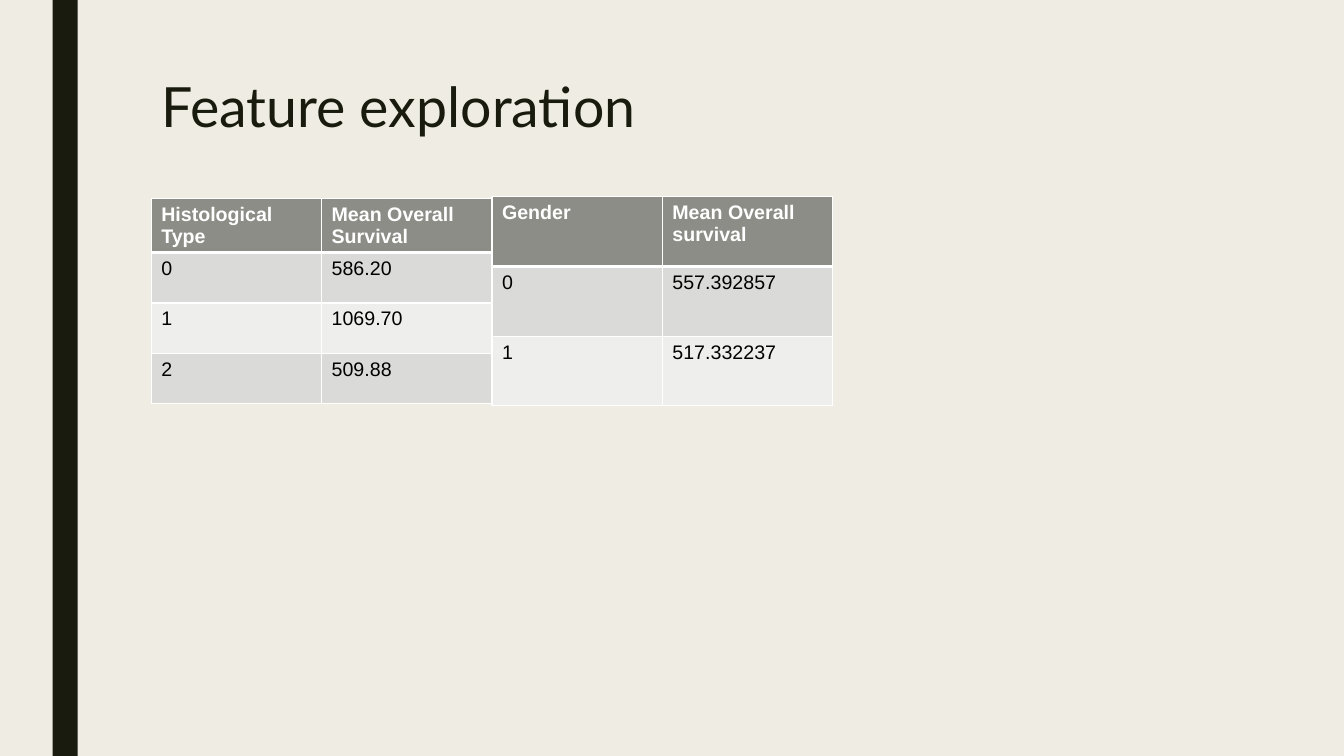
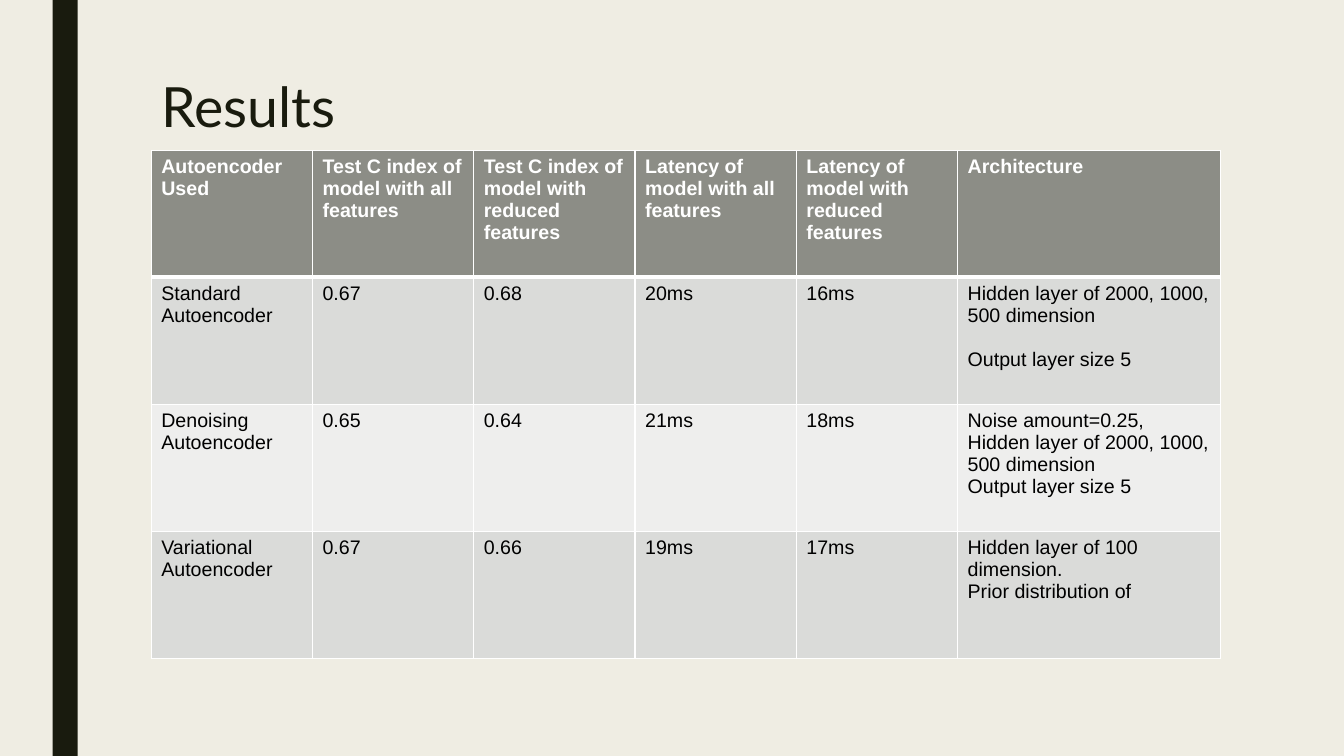
from dataclasses import dataclass

from lxml import etree
from pptx import Presentation
from pptx.dml.color import RGBColor
from pptx.enum.shapes import MSO_SHAPE
from pptx.enum.text import MSO_ANCHOR, MSO_AUTO_SIZE, PP_ALIGN
from pptx.oxml.ns import qn
from pptx.util import Pt

RECTANGLE = MSO_SHAPE.RECTANGLE
TOP = MSO_ANCHOR.TOP
LEFT = PP_ALIGN.LEFT
NO_AUTOFIT = MSO_AUTO_SIZE.NONE
TITLE_ONLY_LAYOUT = 5


@dataclass(frozen=True)
class Theme:
    background: str = "EFEDE3"
    dark: str = "191B0E"
    white: str = "FFFFFF"
    black: str = "000000"
    header: str = "8C8D86"
    bands: tuple = ("DADBD9", "EEEEED")
    title_font: str = "Lato"
    table_font: str = "Arial"
    title_size: float = 39.6
    table_size: float = 14
    title_spacing: float = 0.89
    thin_border: float = 1
    thick_border: float = 3
    left_margin: float = 108


class Deck:
    """Holds the theme, the presentation and the current slide."""

    def __init__(self, theme):
        self.theme = theme
        self.slide = None
        self.presentation = Presentation()
        self.presentation.slide_width = Pt(960)
        self.presentation.slide_height = Pt(540)
        self.fill(self.presentation.slide_master.background, theme.background)

    @staticmethod
    def fill(target, color):
        target.fill.solid()
        target.fill.fore_color.rgb = RGBColor.from_string(color)

    @staticmethod
    def add_run(paragraph, text, font, size, color, bold=False):
        run = paragraph.add_run()
        run.text = text
        run.font.name = font
        run.font.size = Pt(size)
        run.font.bold = bold
        run.font.color.rgb = RGBColor.from_string(color)

    def add_slide(self, title, title_height):
        layout = self.presentation.slide_layouts[TITLE_ONLY_LAYOUT]
        self.slide = self.presentation.slides.add_slide(layout)
        self.add_side_band()
        self.set_title(title, title_height)

    def add_side_band(self):
        band = self.slide.shapes.add_shape(
            RECTANGLE, Pt(37.5), 0, Pt(18), self.presentation.slide_height)
        band.shadow.inherit = False
        self.fill(band, self.theme.dark)
        band.line.fill.background()

    def set_title(self, text, height):
        theme = self.theme
        title = self.slide.shapes.title
        title.left, title.top = Pt(theme.left_margin), Pt(54)
        title.width, title.height = Pt(756), Pt(height)
        frame = title.text_frame
        frame.word_wrap = True
        frame.auto_size = NO_AUTOFIT
        frame.vertical_anchor = TOP
        paragraph = frame.paragraphs[0]
        paragraph.alignment = LEFT
        paragraph.line_spacing = theme.title_spacing
        self.add_run(paragraph, text, theme.title_font, theme.title_size, theme.dark)

    def add_table(self, left, top, widths, row_height, rows):
        shape = self.slide.shapes.add_table(
            len(rows), len(widths), Pt(left), Pt(top),
            Pt(sum(widths)), Pt(row_height * len(rows)))
        table = shape.table
        for column, width in zip(table.columns, widths):
            column.width = Pt(width)
        for row_index, values in enumerate(rows):
            table.rows[row_index].height = Pt(row_height)
            for column_index, value in enumerate(values):
                self.format_cell(table.cell(row_index, column_index), value, row_index)

    def format_cell(self, cell, value, row_index):
        """A value is a string, or a list of (text, space before) paragraphs."""
        theme = self.theme
        is_header = row_index == 0
        color = theme.white if is_header else theme.black
        self.fill(cell, theme.header if is_header else theme.bands[(row_index - 1) % 2])
        paragraphs = [(value, 0)] if isinstance(value, str) else value
        frame = cell.text_frame
        for index, (text, space_before) in enumerate(paragraphs):
            paragraph = frame.add_paragraph() if index else frame.paragraphs[0]
            paragraph.space_before = Pt(space_before)
            self.add_run(paragraph, text, theme.table_font, theme.table_size,
                         color, is_header)
        self.set_borders(cell, row_index)

    def set_borders(self, cell, row_index):
        theme = self.theme
        # The rule under the header belongs to both rows it touches
        thick_side = {0: "lnB", 1: "lnT"}.get(row_index)
        properties = cell._tc.get_or_add_tcPr()
        for position, side in enumerate(("lnL", "lnR", "lnT", "lnB")):
            width = theme.thick_border if side == thick_side else theme.thin_border
            line = etree.Element(qn(f"a:{side}"), w=str(Pt(width)))
            line_fill = etree.SubElement(line, qn("a:solidFill"))
            etree.SubElement(line_fill, qn("a:srgbClr"), val=theme.white)
            properties.insert(position, line)


def main():
    theme = Theme()
    deck = Deck(theme)

    # Feature exploration: two tables side by side
    deck.add_slide("Feature exploration", 40)
    widths = [121.7, 121.7]
    deck.add_table(theme.left_margin, 141.7, widths, 36, [
        ["Histological Type", "Mean Overall Survival"],
        ["0", "586.20"],
        ["1", "1069.70"],
        ["2", "509.88"],
    ])
    deck.add_table(theme.left_margin + sum(widths), 140.6, widths, 49.8, [
        ["Gender", "Mean Overall survival"],
        ["0", "557.392857"],
        ["1", "517.332237"],
    ])

    # Results: comparison of the autoencoders
    deck.add_slide("Results", 53)
    output_layer = "Output layer size 5"
    deck.add_table(theme.left_margin, 107.3, [115.2] * 5 + [187.9], 90.8, [
        ["Autoencoder Used",
         "Test C index of model with all features",
         "Test C index of model with reduced features",
         "Latency of model with all features",
         "Latency of model with reduced features",
         "Architecture"],
        ["Standard Autoencoder", "0.67", "0.68", "20ms", "16ms",
         [("Hidden layer of 2000, 1000, 500 dimension", 0), (output_layer, 16)]],
        ["Denoising Autoencoder", "0.65", "0.64", "21ms", "18ms",
         [("Noise amount=0.25, Hidden layer of 2000, 1000, 500 dimension", 0),
          (output_layer, 0)]],
        ["Variational Autoencoder", "0.67", "0.66", "19ms", "17ms",
         [("Hidden layer of 100 dimension.", 0), ("Prior distribution of", 0)]],
    ])

    deck.presentation.save("out.pptx")


if __name__ == "__main__":
    main()
